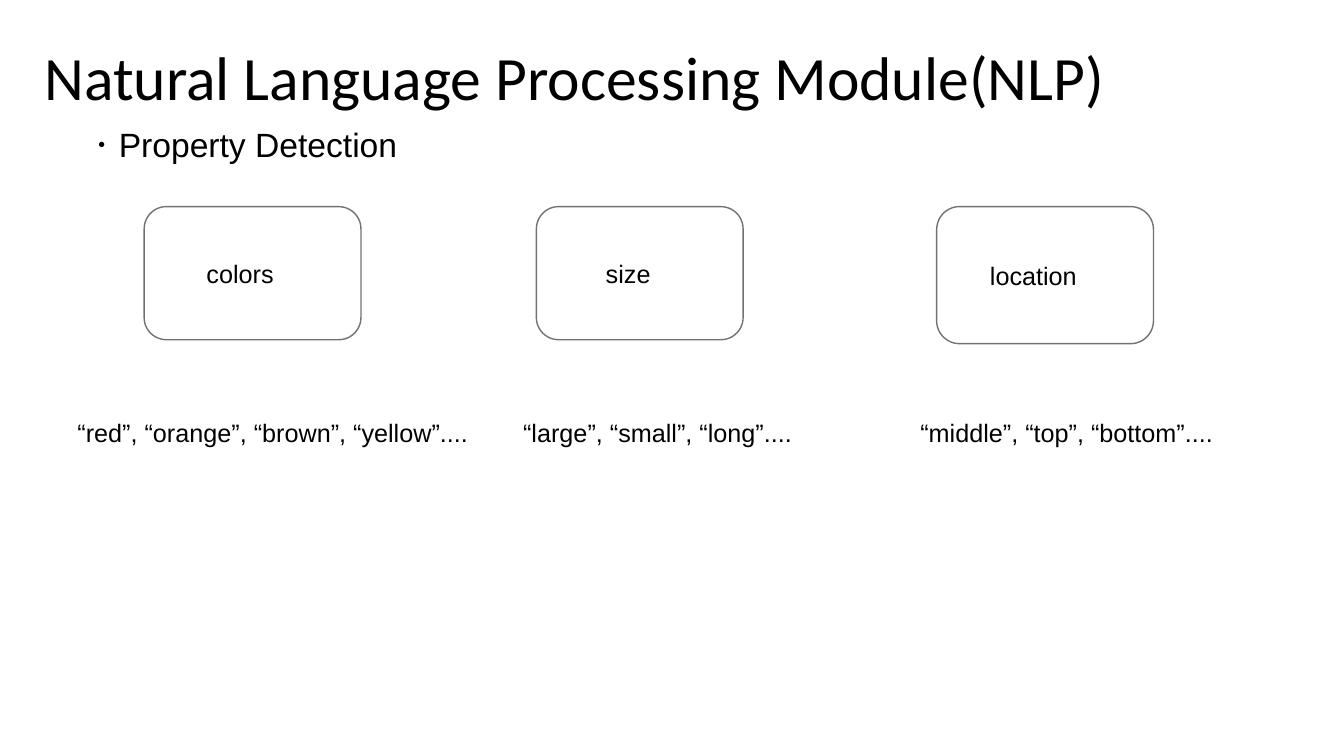
from dataclasses import dataclass

from lxml import etree
from pptx import Presentation
from pptx.dml.color import RGBColor
from pptx.enum import shapes, text
from pptx.oxml import ns
from pptx.slide import Slide
from pptx.text.text import TextFrame
from pptx.util import Inches, Pt

COLORS = {"text": "000000", "outline": "767171"}
BOX_TOP = 2.05
EXAMPLES_TOP = 4.09


@dataclass(frozen=True)
class Property:
    label: str
    label_left: float
    label_top: float
    box_left: float
    box_width: float
    box_height: float
    examples: str
    examples_left: float


PROPERTIES = [
    Property("colors", 1.95, 2.51, 1.43, 2.15, 1.32,
             "“red”, “orange”, “brown”, “yellow”....", 0.67),
    Property("size", 5.91, 2.51, 5.32, 2.05, 1.32,
             "“large”, “small”, “long”....", 5.09),
    Property("location", 9.72, 2.53, 9.29, 2.15, 1.36,
             "“middle”, “top”, “bottom”....", 9.03),
]


def write(frame: TextFrame, words: str, size: float, font_name: str) -> None:
    frame.word_wrap = True
    frame.vertical_anchor = text.MSO_ANCHOR.TOP
    paragraph = frame.paragraphs[0]
    paragraph.text = words
    paragraph.alignment = text.PP_ALIGN.LEFT
    font = paragraph.font
    font.size, font.name = Pt(size), font_name
    font.color.rgb = RGBColor.from_string(COLORS["text"])


def add_text(slide: Slide, words: str, left: float, top: float, width: float,
             height: float = 0.4, size: float = 18) -> TextFrame:
    frame = slide.shapes.add_textbox(
        Inches(left), Inches(top), Inches(width), Inches(height)).text_frame
    write(frame, words, size, "Arial")
    return frame


def add_bullet(frame: TextFrame) -> None:
    """Give the first paragraph a hanging bullet smaller than its text."""
    properties = frame.paragraphs[0]._p.get_or_add_pPr()
    properties.set("marL", str(Inches(0.29)))
    properties.set("indent", str(-Inches(0.29)))
    for tag, name, value in [("a:buSzPct", "val", "75000"),
                             ("a:buFont", "typeface", "Noto Sans CJK SC"),
                             ("a:buChar", "char", "•")]:
        etree.SubElement(properties, ns.qn(tag)).set(name, value)
    # The schema places default run properties after the bullet.
    properties.append(properties.find(ns.qn("a:defRPr")))


def add_property(slide: Slide, item: Property) -> None:
    box = slide.shapes.add_shape(
        shapes.MSO_SHAPE.ROUNDED_RECTANGLE, Inches(item.box_left),
        Inches(BOX_TOP), Inches(item.box_width), Inches(item.box_height))
    box.shadow.inherit = False
    box.fill.background()
    box.line.color.rgb = RGBColor.from_string(COLORS["outline"])
    box.line.width = Pt(1)
    add_text(slide, item.label, item.label_left, item.label_top, 1.4)
    add_text(slide, item.examples, item.examples_left, EXAMPLES_TOP, 4.2)


def main() -> None:
    deck = Presentation()
    deck.slide_width, deck.slide_height = Inches(13.33), Inches(7.5)
    slide = deck.slides.add_slide(deck.slide_layouts.get_by_name("Title Only"))

    title = slide.shapes.title
    title.left, title.top = Inches(0.34), Inches(0.34)
    title.width, title.height = Inches(11.34), Inches(0.84)
    write(title.text_frame, "Natural Language Processing Module(NLP)", 44, "Calibri")

    add_bullet(add_text(slide, "Property Detection", 0.79, 1.18, 4.53, 0.5, 24))
    for item in PROPERTIES:
        add_property(slide, item)
    deck.save("out.pptx")


if __name__ == "__main__":
    main()
